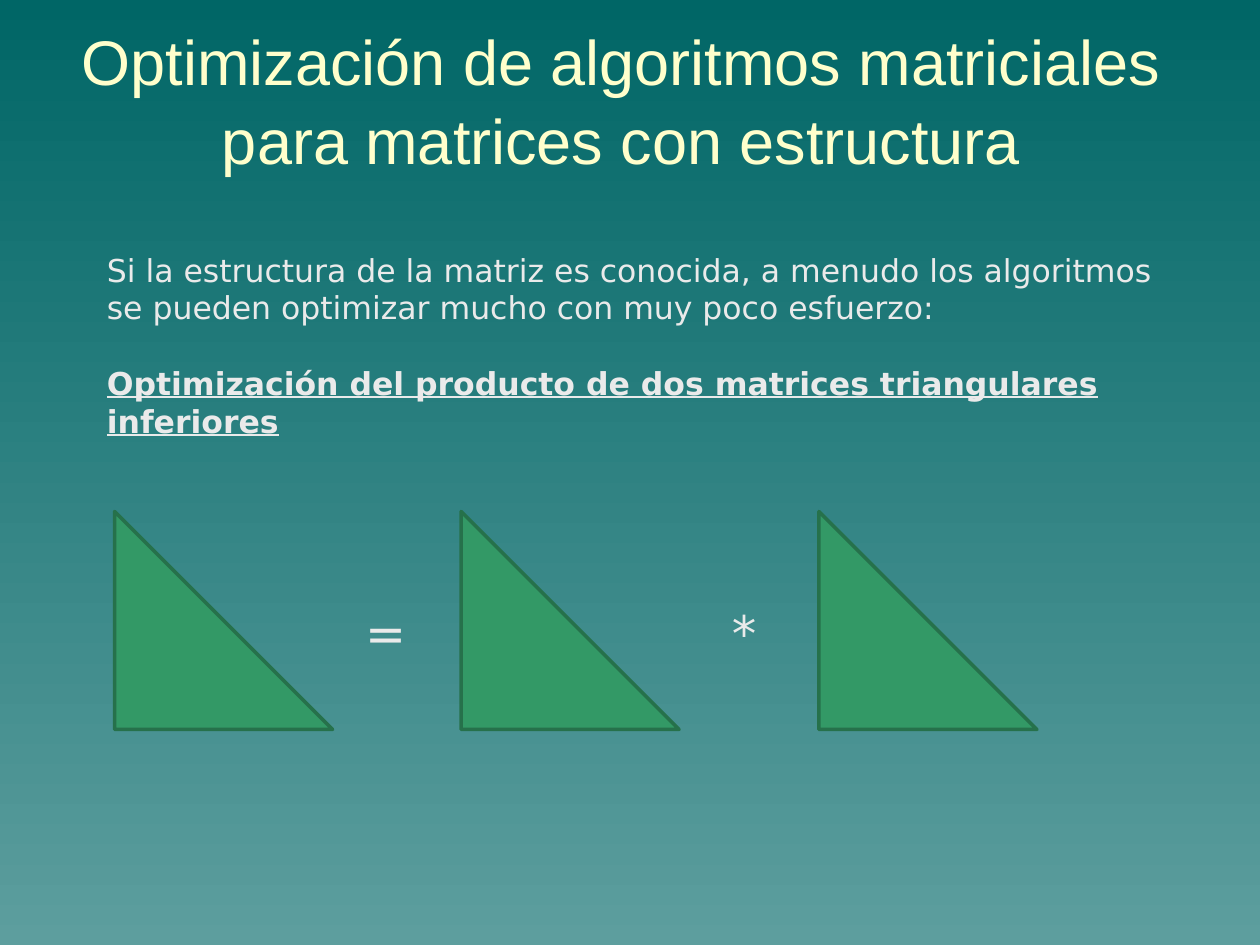
import pptx
import pptx.util
import pptx.dml.color
import pptx.enum.shapes
import pptx.enum.text

Inches = pptx.util.Inches
Pt = pptx.util.Pt
MSO_ANCHOR = pptx.enum.text.MSO_ANCHOR
PP_ALIGN = pptx.enum.text.PP_ALIGN
BODY_FONT = "DejaVu Sans"
TEXT_COLOR = "EAEAEA"


def rgb(value):
    return pptx.dml.color.RGBColor.from_string(value)


def add_text(p, text, size=18, font=BODY_FONT, color=TEXT_COLOR, bold=False,
             underline=False, align=PP_ALIGN.LEFT, before=0, spacing=1.0):
    p.alignment = align
    p.space_before = Pt(before)
    p.line_spacing = spacing
    r = p.add_run()
    r.text = text
    r.font.size = Pt(size)
    r.font.name = font
    r.font.color.rgb = rgb(color)
    r.font.bold = bold
    r.font.underline = underline


def set_background(slide):
    fill = slide.background.fill
    fill.gradient()
    fill.gradient_angle = 270
    for stop, position, color in zip(fill.gradient_stops, (0, 1), ("006666", "5D9E9E")):
        stop.position = position
        stop.color.rgb = rgb(color)


def place_title(slide, left, top, width, height):
    sp = slide.shapes.title
    sp.left, sp.top, sp.width, sp.height = map(Inches, (left, top, width, height))
    tf = sp.text_frame
    tf.auto_size = pptx.enum.text.MSO_AUTO_SIZE.NONE
    tf.vertical_anchor = MSO_ANCHOR.BOTTOM
    add_text(tf.paragraphs[0],
             "Optimización de algoritmos matriciales para matrices con estructura",
             size=36, font="Arial", color="FFFFCC", align=PP_ALIGN.CENTER, spacing=1.05)


def place_intro(slide, left, top, width, height):
    sp = slide.shapes.add_textbox(*map(Inches, (left, top, width, height)))
    tf = sp.text_frame
    tf.word_wrap = True
    add_text(tf.paragraphs[0],
             "Si la estructura de la matriz es conocida, a menudo los algoritmos "
             "se pueden optimizar mucho con muy poco esfuerzo:")
    add_text(tf.add_paragraph(),
             "Optimización del producto de dos matrices triangulares inferiores",
             bold=True, underline=True, before=21.7)


def add_triangle(slide, left, top, side):
    sp = slide.shapes.add_shape(pptx.enum.shapes.MSO_SHAPE.RIGHT_TRIANGLE,
                                *map(Inches, (left, top, side, side)))
    sp.shadow.inherit = False
    sp.fill.solid()
    sp.fill.fore_color.rgb = rgb("339966")
    sp.line.color.rgb = rgb("26714B")
    sp.line.width = Pt(2)


def add_operator(slide, text, left, top, width):
    sp = slide.shapes.add_textbox(*map(Inches, (left, top, width, 0.57)))
    tf = sp.text_frame
    tf.word_wrap = False
    add_text(tf.paragraphs[0], text, size=28)


def place_product(slide, left, top, side):
    for offset in (0, 2.75, 5.59):
        add_triangle(slide, left + offset, top, side)
    for text, offset, width in (("=", 1.89, 0.52), ("*", 4.8, 0.45)):
        add_operator(slide, text, left + offset, top + 0.67, width)


def main():
    prs = pptx.Presentation()
    prs.slide_width = Inches(10)
    prs.slide_height = Inches(7.5)
    slide = prs.slides.add_slide(prs.slide_layouts[5])
    set_background(slide)
    place_title(slide, 0.43, 0.21, 9, 1.25)
    place_intro(slide, 0.75, 1.94, 8.66, 2.22)
    place_product(slide, 0.91, 4.06, 1.73)
    prs.save("out.pptx")


if __name__ == "__main__":
    main()
